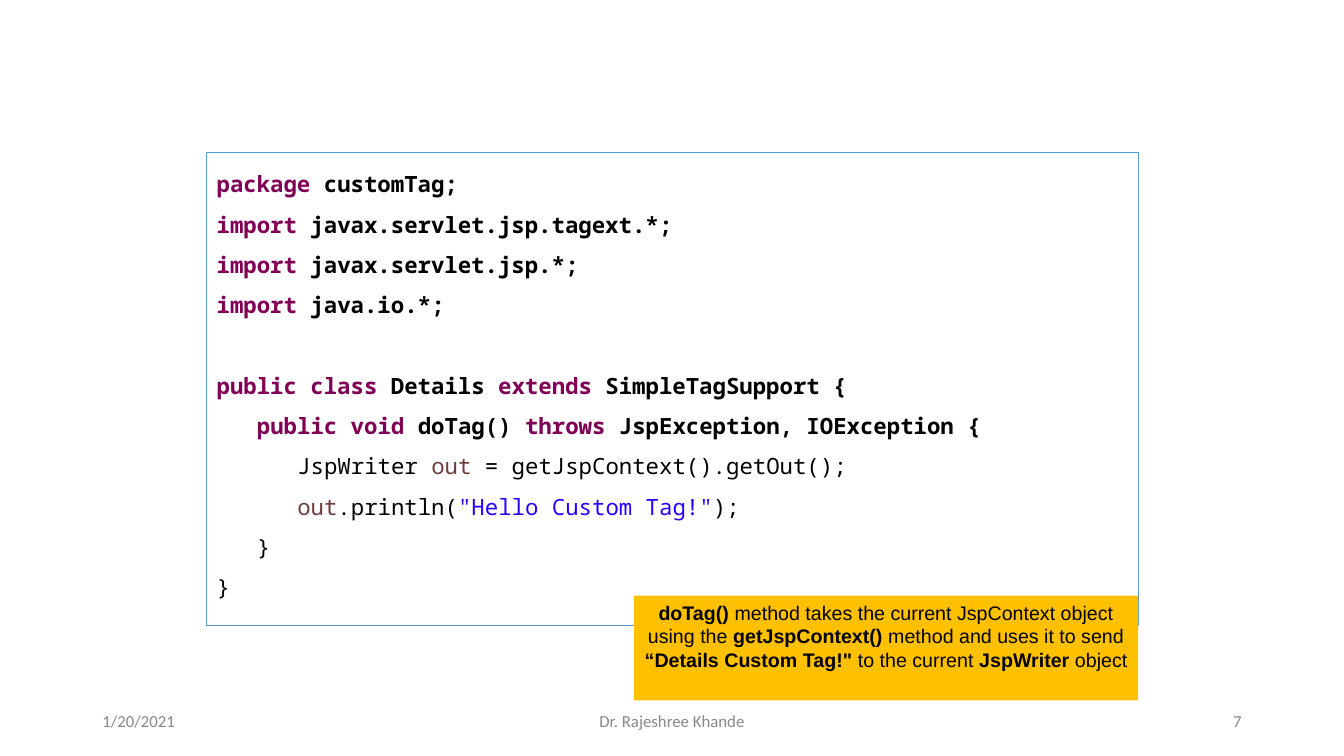
from dataclasses import dataclass
from typing import NamedTuple

from pptx import Presentation
from pptx.dml.color import RGBColor
from pptx.enum.shapes import MSO_SHAPE
from pptx.enum.text import MSO_ANCHOR, PP_ALIGN
from pptx.util import Emu, Inches, Pt

SLIDE_WIDTH, SLIDE_HEIGHT = Inches(13.333), Inches(7.5)


@dataclass(frozen=True)
class Theme:
    keyword: RGBColor = RGBColor.from_string("7F0055")
    variable: RGBColor = RGBColor.from_string("6A3E3E")
    literal: RGBColor = RGBColor.from_string("2A00FF")
    ink: RGBColor = RGBColor.from_string("000000")
    muted: RGBColor = RGBColor.from_string("888888")
    border: RGBColor = RGBColor.from_string("5B9BD5")
    highlight: RGBColor = RGBColor.from_string("FFC000")
    code_font: str = "Noto Sans Mono"
    note_font: str = "Arial"
    footer_font: str = "Calibri"
    code_size: Pt = Pt(16)
    note_size: Pt = Pt(14)
    footer_size: Pt = Pt(12)
    code_row: Pt = Pt(28.8)
    code_indent: Pt = Pt(28.8)


THEME = Theme()


class Area(NamedTuple):
    """A rectangle in percent of the slide's width and height."""
    left: float
    top: float
    width: float
    height: float

    def lengths(self) -> list[Emu]:
        sides = (SLIDE_WIDTH, SLIDE_HEIGHT) * 2
        return [Emu(round(side * share / 100)) for side, share in zip(sides, self)]


class Token(NamedTuple):
    text: str
    color: RGBColor = THEME.ink


class CodeLine(NamedTuple):
    tokens: tuple[Token, ...]
    depth: int = 0
    bold: bool = False
    rows_before: int = 0


class Phrase(NamedTuple):
    text: str
    bold: bool = False


class FooterPart(NamedTuple):
    text: str
    width: float
    alignment: PP_ALIGN


def keyword(text: str) -> Token:
    return Token(text, THEME.keyword)


OUT = Token("out", THEME.variable)
IMPORTS = ("javax.servlet.jsp.tagext", "javax.servlet.jsp", "java.io")
CODE = (
    CodeLine((keyword("package"), Token(" customTag;")), bold=True),
    *(CodeLine((keyword("import"), Token(f" {name}.*;")), bold=True) for name in IMPORTS),
    CodeLine((keyword("public class"), Token(" Details "), keyword("extends"),
              Token(" SimpleTagSupport {")), bold=True, rows_before=1),
    CodeLine((keyword("public void"), Token(" doTag() "), keyword("throws"),
              Token(" JspException, IOException {")), depth=1, bold=True),
    CodeLine((Token("JspWriter "), OUT, Token(" = getJspContext().getOut();")), depth=2),
    CodeLine((OUT, Token(".println("), Token('"Hello Custom Tag!"', THEME.literal),
              Token(");")), depth=2),
    CodeLine((Token("}"),), depth=1),
    CodeLine((Token("}"),)),
)
NOTE = (
    Phrase("doTag()", True),
    Phrase(" method takes the current JspContext object using the "),
    Phrase("getJspContext()", True),
    Phrase(" method and uses it to send "),
    Phrase('“Details Custom Tag!"', True),
    Phrase(" to the current "),
    Phrase("JspWriter", True),
    Phrase(" object"),
)
FOOTER = (
    FooterPart("1/20/2021", 22.5, PP_ALIGN.LEFT),
    FooterPart("Dr. Rajeshree Khande", 33.75, PP_ALIGN.CENTER),
    FooterPart("7", 22.5, PP_ALIGN.RIGHT),
)
CODE_AREA = Area(15.38, 20.13, 69.3, 62.67)
NOTE_AREA = Area(47.18, 78.8, 37.5, 13.87)
FOOTER_LEFT, FOOTER_TOP, FOOTER_HEIGHT, FOOTER_GAP = 6.88, 92.67, 5.33, 3.75


def add_panel(slide, area: Area):
    """Add a plain rectangle whose text starts at the top."""
    panel = slide.shapes.add_shape(MSO_SHAPE.RECTANGLE, *area.lengths())
    panel.shadow.inherit = False
    panel.text_frame.word_wrap = True
    panel.text_frame.vertical_anchor = MSO_ANCHOR.TOP
    return panel


def set_font(paragraph, name: str, size: Pt, color: RGBColor) -> None:
    paragraph.font.name = name
    paragraph.font.size = size
    paragraph.font.color.rgb = color


def add_code(slide) -> None:
    panel = add_panel(slide, CODE_AREA)
    panel.fill.background()
    panel.line.color.rgb = THEME.border
    panel.line.width = Pt(0.75)
    frame = panel.text_frame
    for index, line in enumerate(CODE):
        paragraph = frame.add_paragraph() if index else frame.paragraphs[0]
        paragraph.alignment = PP_ALIGN.LEFT
        paragraph.line_spacing = 1.5
        paragraph.space_before = Pt(THEME.code_row.pt * line.rows_before)
        paragraph._p.get_or_add_pPr().set("marL", str(THEME.code_indent * line.depth))
        set_font(paragraph, THEME.code_font, THEME.code_size, THEME.ink)
        paragraph.font.bold = line.bold
        for token in line.tokens:
            run = paragraph.add_run()
            run.text = token.text
            run.font.color.rgb = token.color


def add_note(slide) -> None:
    panel = add_panel(slide, NOTE_AREA)
    panel.fill.solid()
    panel.fill.fore_color.rgb = THEME.highlight
    panel.line.fill.background()
    paragraph = panel.text_frame.paragraphs[0]
    paragraph.alignment = PP_ALIGN.CENTER
    set_font(paragraph, THEME.note_font, THEME.note_size, THEME.ink)
    for phrase in NOTE:
        run = paragraph.add_run()
        run.text = phrase.text
        run.font.bold = phrase.bold


def add_footer(slide) -> None:
    left = FOOTER_LEFT
    for part in FOOTER:
        area = Area(left, FOOTER_TOP, part.width, FOOTER_HEIGHT)
        frame = slide.shapes.add_textbox(*area.lengths()).text_frame
        frame.word_wrap = True
        frame.vertical_anchor = MSO_ANCHOR.MIDDLE
        paragraph = frame.paragraphs[0]
        paragraph.text = part.text
        paragraph.alignment = part.alignment
        set_font(paragraph, THEME.footer_font, THEME.footer_size, THEME.muted)
        left += part.width + FOOTER_GAP


def main() -> None:
    deck = Presentation()
    deck.slide_width, deck.slide_height = SLIDE_WIDTH, SLIDE_HEIGHT
    slide = deck.slides.add_slide(deck.slide_layouts.get_by_name("Blank"))
    add_footer(slide)
    add_code(slide)
    add_note(slide)
    deck.save("out.pptx")


if __name__ == "__main__":
    main()
